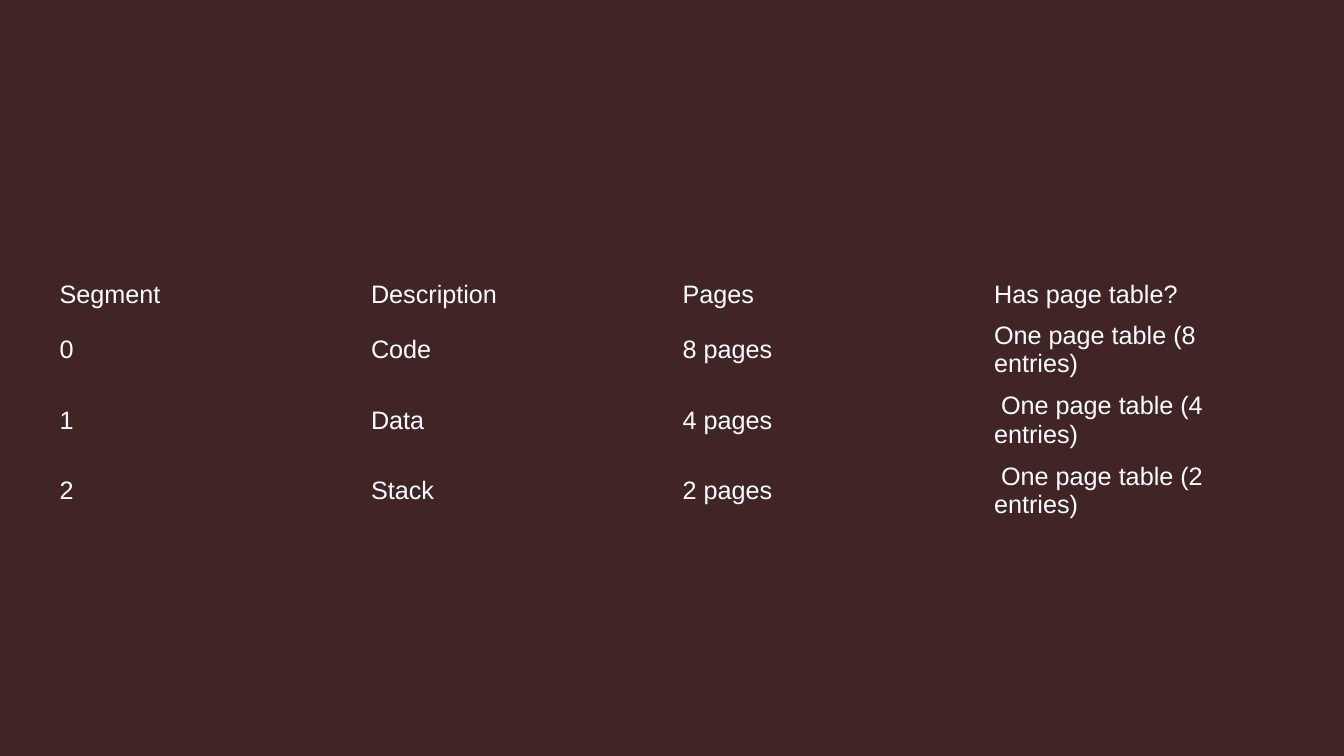
from lxml import etree
from pptx import Presentation
from pptx.dml.color import RGBColor
from pptx.enum import text
from pptx.oxml import ns
from pptx.util import Inches, Pt


def color(code):
    return RGBColor.from_string(code)


deck = Presentation()
deck.slide_width = Inches(13.33)
deck.slide_height = Inches(7.5)
slide = deck.slides.add_slide(deck.slide_layouts[6])

# Background
back = slide.background.fill
back.solid()
back.fore_color.rgb = color("412426")

# Segment table
rows = [
    ("Segment", "Description", "Pages", "Has page table?"),
    ("0", "Code", "8 pages", "One page table (8 entries)"),
    ("1", "Data", "4 pages", " One page table (4 entries)"),
    ("2", "Stack", "2 pages", " One page table (2 entries)"),
]
frame = slide.shapes.add_table(
    len(rows), len(rows[0]), Inches(0.49), Inches(2.72), Inches(12.35), Inches(2.5)
)
table = frame.table
table.first_row = False
table.horz_banding = False
for col in table.columns:
    col.width = Inches(3.09)

for r, row in enumerate(rows):
    table.rows[r].height = Inches(0.7 if r else 0.4)
    for c, words in enumerate(row):
        cell = table.cell(r, c)
        cell.vertical_anchor = text.MSO_ANCHOR.MIDDLE

        # No borders, no fill
        props = cell._tc.get_or_add_tcPr()
        for side in ("a:lnL", "a:lnR", "a:lnT", "a:lnB"):
            line = etree.SubElement(props, ns.qn(side), w="0")
            etree.SubElement(line, ns.qn("a:noFill"))
        cell.fill.background()

        run = cell.text_frame.paragraphs[0].add_run()
        run.text = words
        run.font.name = "Arial"
        run.font.size = Pt(18)
        run.font.bold = False
        run.font.color.rgb = color("FFFFFF")

deck.save("out.pptx")
